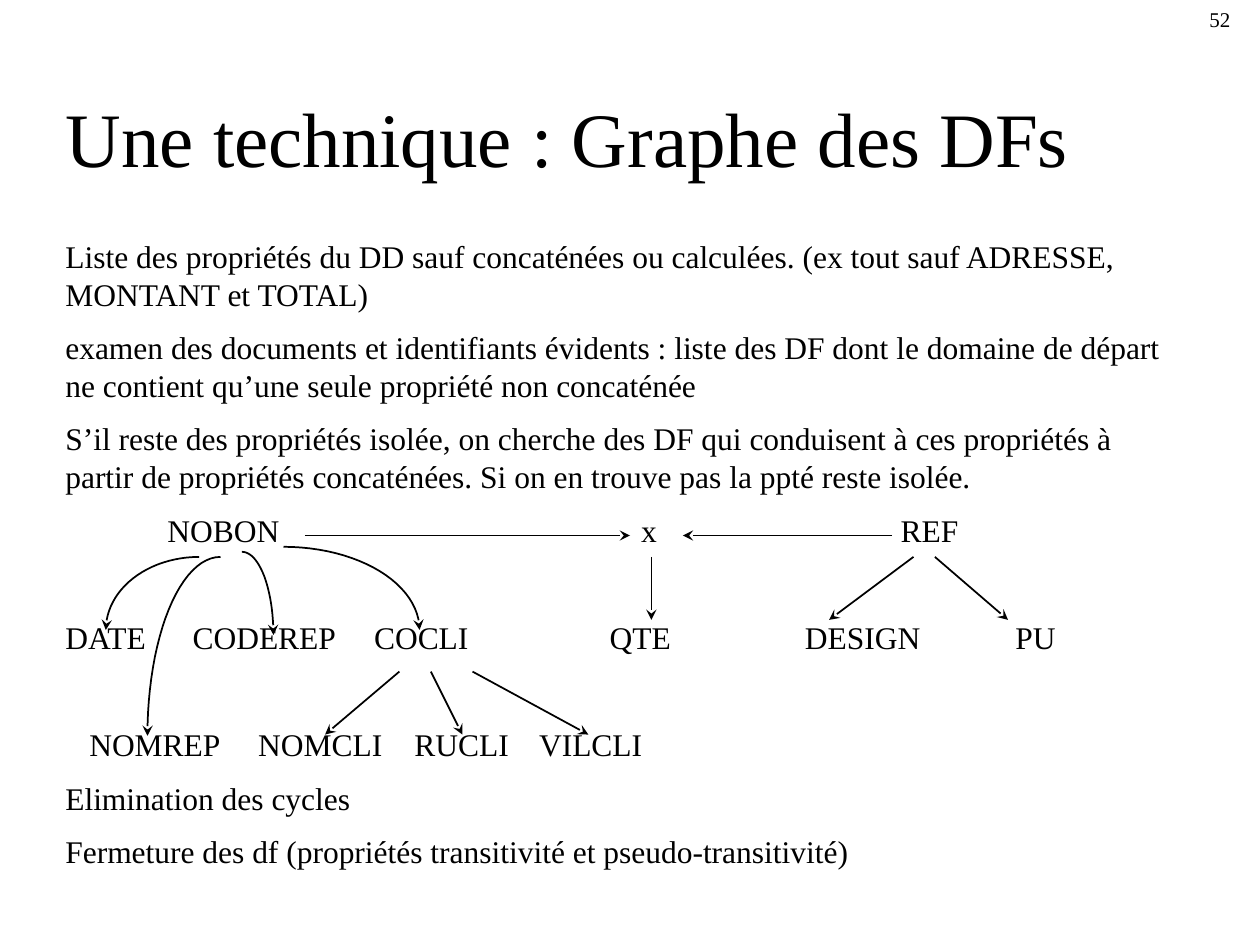
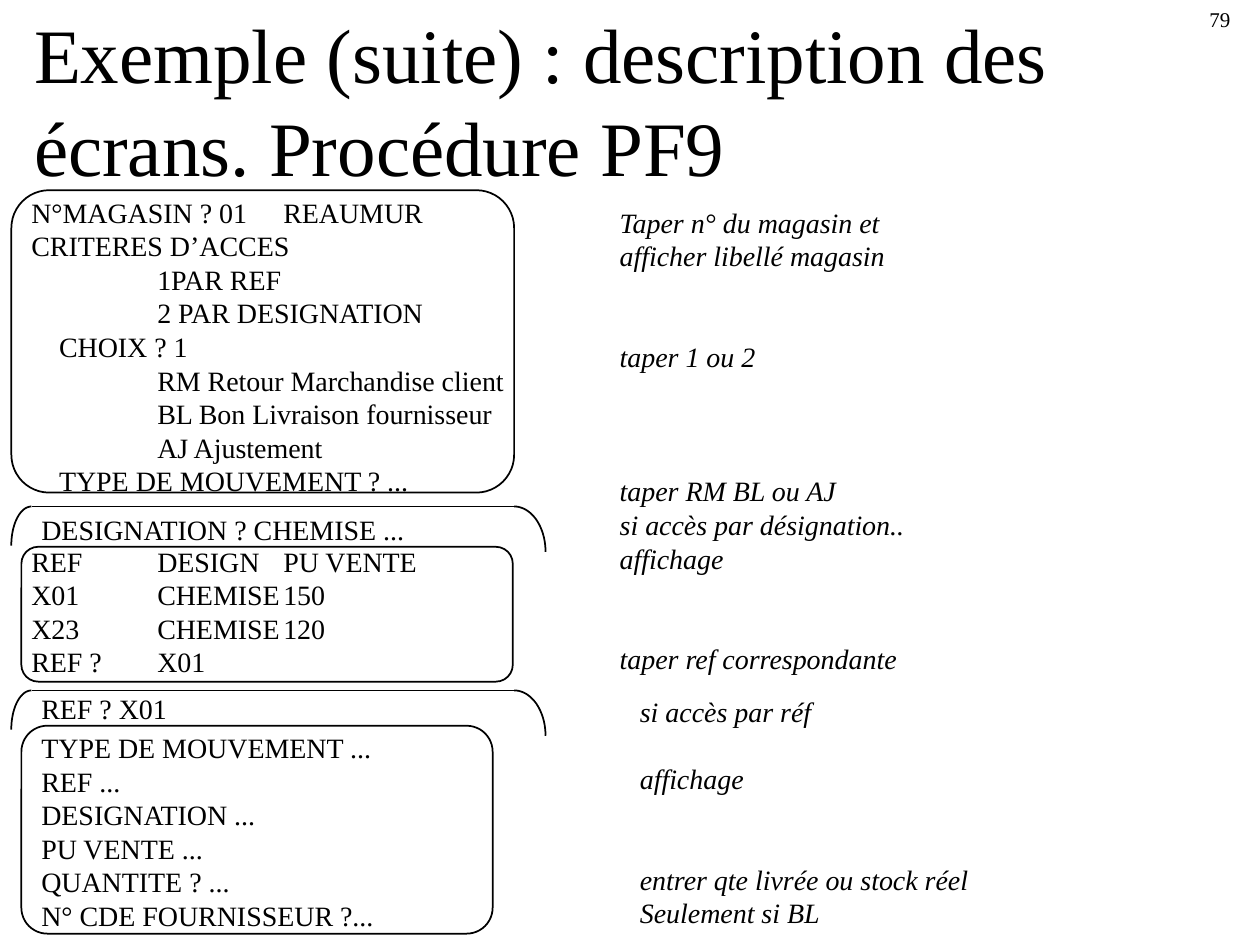
from math import cos, pi, sin

from lxml.etree import SubElement
from pptx import Presentation
from pptx.dml.color import RGBColor
from pptx.enum.shapes import MSO_CONNECTOR, MSO_SHAPE
from pptx.enum.text import MSO_ANCHOR, MSO_AUTO_SIZE, PP_ALIGN
from pptx.oxml.ns import qn
from pptx.util import Pt

PX = 9144
FONT = "Times New Roman"
COLORS = {"ink": "000000", "paper": "FFFFFF"}
INK = RGBColor.from_string(COLORS["ink"])
LEADING = 1.2
ARC_STEPS = 24


def write(holder, lines, box, size=16, gap=0, italic=False, wrap=True, anchor=MSO_ANCHOR.TOP):
    """Each line is (text, skipped rows before it, tab stops)."""
    holder.left, holder.top, holder.width, holder.height = [n * PX for n in box]
    frame = holder.text_frame
    frame.auto_size = MSO_AUTO_SIZE.NONE
    frame.word_wrap = wrap
    frame.vertical_anchor = anchor
    for index, (text, skipped, stops) in enumerate(lines):
        paragraph = frame.add_paragraph() if index else frame.paragraphs[0]
        paragraph.alignment = PP_ALIGN.LEFT
        paragraph.line_spacing = Pt(size * LEADING)
        if index:
            paragraph.space_before = Pt(gap + skipped * (size * LEADING + gap))
        if stops:
            tabs = SubElement(paragraph._p.get_or_add_pPr(), qn("a:tabLst"))
            for stop in stops:
                SubElement(tabs, qn("a:tab"), pos=str(stop * PX), algn="l")
        run = paragraph.add_run()
        run.text = text
        run.font.name = FONT
        run.font.size = Pt(size)
        run.font.italic = italic
        run.font.color.rgb = INK


def stroke(outline, arrow=False):
    outline.line.color.rgb = INK
    outline.line.width = Pt(1)
    if arrow:
        SubElement(outline.get_or_add_ln(), qn("a:tailEnd"), type="stealth")
    SubElement(outline._element.spPr, qn("a:effectLst"))


deck = Presentation()
deck.slide_width, deck.slide_height = 1000 * PX, 750 * PX

pages = []
for title, title_box, number in [
    ("Une technique : Graphe des DFs", (42, 33, 846, 117), "52"),
    ("Exemple (suite) : description des écrans. Procédure PF9", (17, 17, 850, 140), "79"),
]:
    page = deck.slides.add_slide(deck.slide_layouts[5])
    page.background.fill.solid()
    page.background.fill.fore_color.rgb = RGBColor.from_string(COLORS["paper"])
    write(page.shapes.title, [(title, 0, ())], title_box, size=44, anchor=MSO_ANCHOR.BOTTOM)
    write(page.shapes.add_textbox(0, 0, 0, 0), [(number, 0, ())], (950, 0, 50, 30), size=12)
    pages.append(page.shapes)
graph, screens = pages

method = [
    ("Liste des propriétés du DD sauf concaténées ou calculées. (ex tout sauf ADRESSE, MONTANT et TOTAL)", 0, ()),
    ("examen des documents et identifiants évidents : liste des DF dont le domaine de départ "
     "ne contient qu’une seule propriété non concaténée", 0, ()),
    ("S’il reste des propriétés isolée, on cherche des DF qui conduisent à ces propriétés à "
     "partir de propriétés concaténées. Si on en trouve pas la ppté reste isolée.", 0, ()),
    ("\tNOBON\tx\tREF", 0, (81, 457, 663)),
    ("DATE\tCODEREP\tCOCLI\tQTE\tDESIGN\tPU", 1, (101, 245, 432, 587, 754)),
    ("\tNOMREP\tNOMCLI\tRUCLI\tVILCLI", 1, (19, 153, 277, 376)),
    ("Elimination des cycles", 0, ()),
    ("Fermeture des df (propriétés transitivité et pseudo-transitivité)", 0, ()),
]
write(graph.add_textbox(0, 0, 0, 0), method, (42, 183, 908, 536), size=18, gap=9)

for frame_box in [(9, 151, 399, 240), (17, 434, 390, 107), (17, 576, 374, 165)]:
    panel = screens.add_shape(MSO_SHAPE.ROUNDED_RECTANGLE, *[n * PX for n in frame_box])
    panel.adjustments[0] = 0.125
    panel.fill.background()
    stroke(panel)

columns = (100, 200)
access_menu = [
    ("N°MAGASIN ? 01\tREAUMUR", 0, columns),
    ("CRITERES D’ACCES", 0, ()),
    ("\t1PAR REF", 0, columns),
    ("\t2 PAR DESIGNATION", 0, columns),
    ("\tCHOIX ? 1", 0, (22,)),
    ("\tRM Retour Marchandise client", 0, columns),
    ("\tBL Bon Livraison fournisseur", 0, columns),
    ("\tAJ Ajustement", 0, columns),
    ("\tTYPE DE MOUVEMENT ? ...", 0, (22,)),
]
article_list = [(text, 0, columns) for text in (
    "REF\tDESIGN\tPU VENTE", "X01\tCHEMISE\t150", "X23\tCHEMISE\t120", "REF ?\tX01")]
movement_entry = [(text, 0, ()) for text in (
    "TYPE DE MOUVEMENT ...", "REF ...", "DESIGNATION ...", "PU VENTE ...",
    "QUANTITE ? ...", "N° CDE FOURNISSEUR ?...")]
designation_actions = [
    ("Taper n° du magasin et", 0, ()),
    ("afficher libellé magasin", 0, ()),
    ("taper 1 ou 2", 2, ()),
    ("taper RM BL ou AJ", 3, ()),
    ("si accès par désignation..", 0, ()),
    ("affichage", 0, ()),
    ("taper ref correspondante", 2, ()),
]
reference_actions = [
    ("si accès par réf", 0, ()),
    ("affichage", 1, ()),
    ("entrer qte livrée ou stock réel", 2, ()),
    ("Seulement si BL", 0, ()),
]
for lines, box, italic, wrap in [
    (access_menu, (15, 150, 402, 277), False, True),
    ([("DESIGNATION ? CHEMISE ...", 0, ())], (23, 402, 311, 37), False, False),
    (article_list, (15, 427, 327, 117), False, False),
    ([("REF ? X01", 0, ())], (23, 544, 120, 37), False, False),
    (movement_entry, (23, 575, 310, 170), False, True),
    (designation_actions, (482, 158, 247, 384), True, False),
    (reference_actions, (498, 546, 395, 197), True, True),
]:
    write(screens.add_textbox(0, 0, 0, 0), lines, box, italic=italic, wrap=wrap)

arcs = [
    (graph, (158, 442), (84, 500), True),
    (graph, (175, 442), (117, 584), True),
    (graph, (192, 438), (217, 504), True),
    (graph, (225, 434), (333, 500), True),
]
links = [(graph, start, end, True) for start, end in [
    ((342, 533), (367, 583)),
    ((375, 533), (467, 583)),
    ((317, 533), (258, 583)),
    ((725, 442), (658, 492)),
    ((742, 442), (800, 492)),
    ((242, 425), (500, 425)),
    ((708, 425), (542, 425)),
    ((517, 442), (517, 492)),
]]
for top in (402, 548):
    arcs += [(screens, (25, top), (9, top + 31), False), (screens, (408, top), (433, top + 36), False)]
    links.append((screens, (25, top), (408, top), False))

for shapes, (apex_x, apex_y), (foot_x, foot_y), arrow in arcs:
    angles = [pi / 2 * step / ARC_STEPS for step in range(ARC_STEPS + 1)]
    points = [((apex_x + (foot_x - apex_x) * sin(a)) * PX, (foot_y + (apex_y - foot_y) * cos(a)) * PX)
              for a in angles]
    builder = shapes.build_freeform(*points[0])
    builder.add_line_segments(points[1:], close=False)
    arc = builder.convert_to_shape()
    arc.fill.background()
    stroke(arc, arrow)

for shapes, start, end, arrow in links:
    link = shapes.add_connector(MSO_CONNECTOR.STRAIGHT, *[n * PX for n in start + end])
    stroke(link, arrow)

deck.save("out.pptx")
